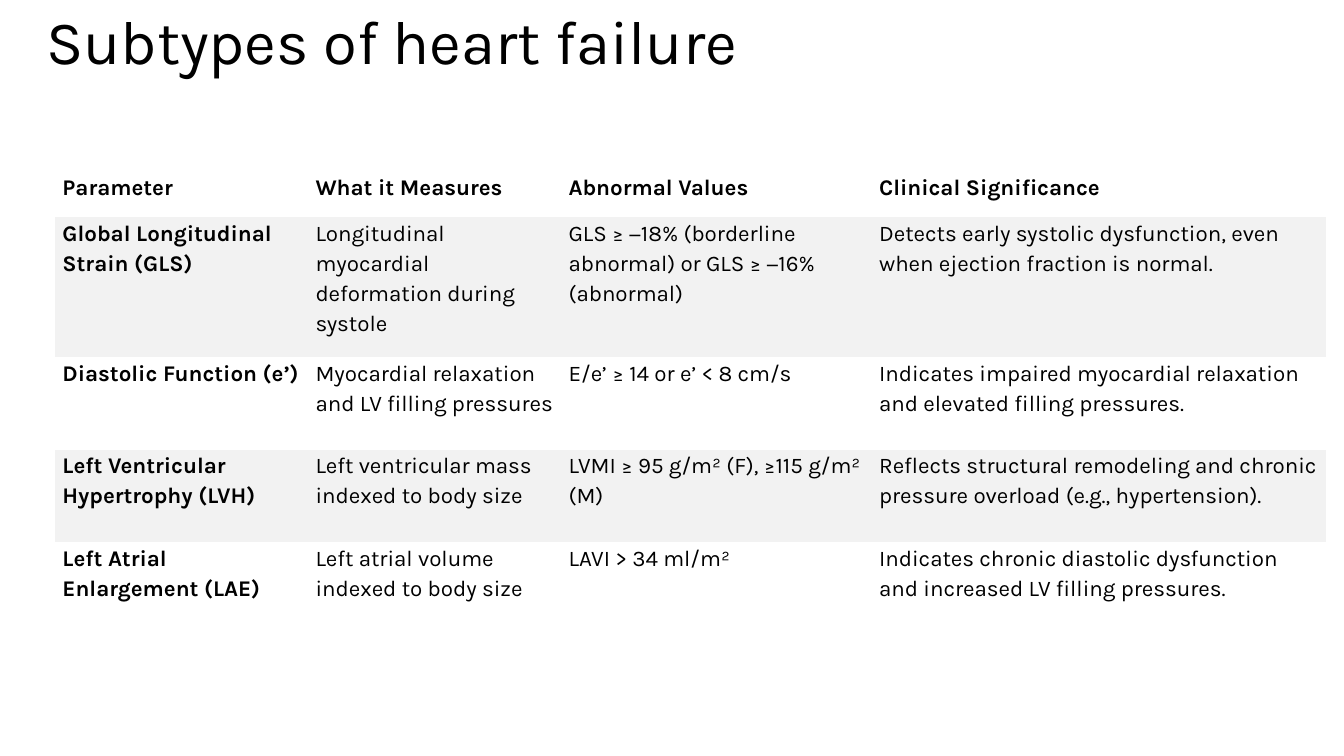
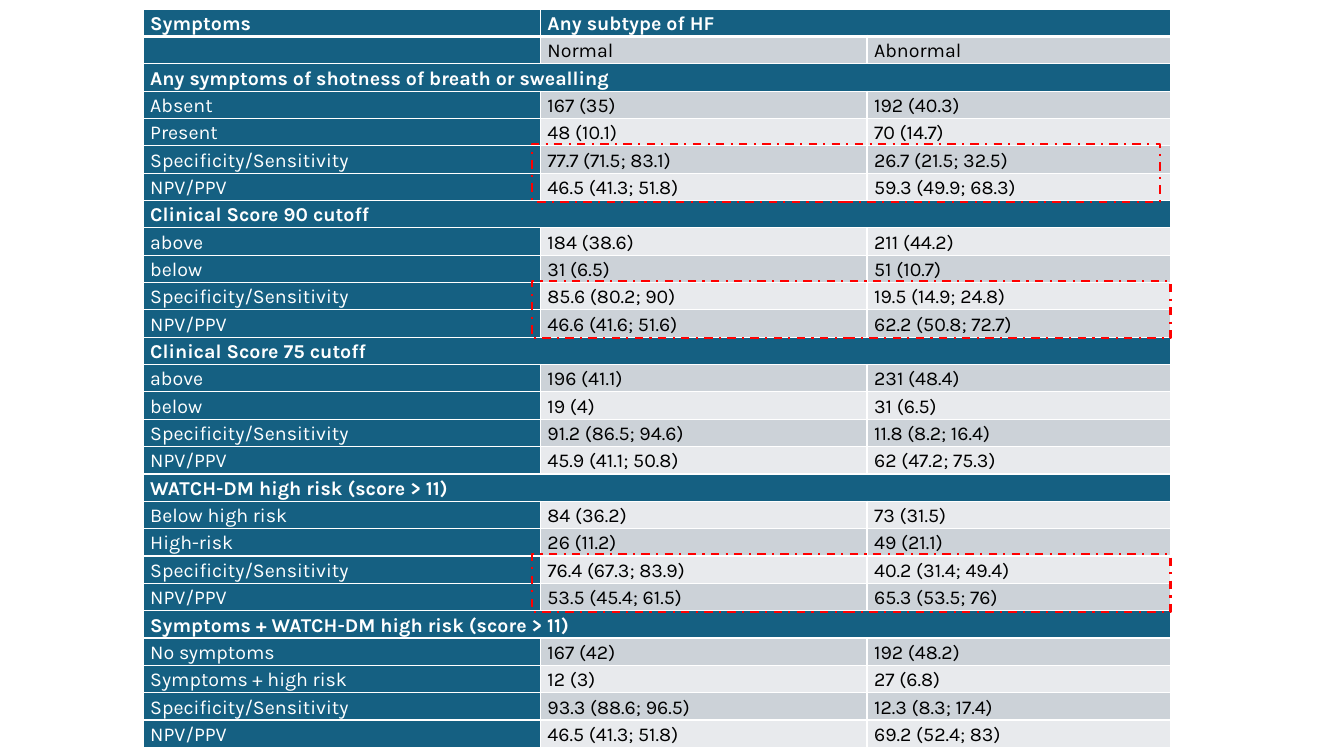
from lxml.etree import SubElement
from pptx import Presentation
from pptx.dml.color import RGBColor
from pptx.enum.dml import MSO_LINE
from pptx.enum.shapes import MSO_SHAPE
from pptx.enum.text import MSO_ANCHOR
from pptx.oxml.ns import qn
from pptx.util import Inches, Pt

FONT = "Karla"
BLACK, WHITE, RED = "000000", "FFFFFF", "FF0000"
TEAL, GREY, BAND_DARK, BAND_LIGHT = "156082", "F2F2F2", "CCD2D8", "E8EAED"
NO_STYLE = "{2D5ABB26-0587-4C30-8999-92F81FD0307C}"

TITLE = "Subtypes of heart failure"
SUBTYPES = [
    ("Parameter", "What it Measures", "Abnormal Values", "Clinical Significance"),
    ("Global Longitudinal Strain (GLS)",
     "Longitudinal myocardial deformation during systole",
     "GLS ≥ −18% (borderline abnormal) or GLS ≥ −16% (abnormal)",
     "Detects early systolic dysfunction, even when ejection fraction is normal."),
    ("Diastolic Function (e’)",
     "Myocardial relaxation and LV filling pressures",
     "E/e’ ≥ 14 or e’ < 8 cm/s",
     "Indicates impaired myocardial relaxation and elevated filling pressures."),
    ("Left Ventricular Hypertrophy (LVH)",
     "Left ventricular mass indexed to body size",
     "LVMI ≥ 95 g/m² (F), ≥115 g/m² (M)",
     "Reflects structural remodeling and chronic pressure overload (e.g., hypertension)."),
    ("Left Atrial Enlargement (LAE)",
     "Left atrial volume indexed to body size",
     "LAVI > 34 ml/m²",
     "Indicates chronic diastolic dysfunction and increased LV filling pressures."),
]
SUBTYPE_COLS = [2.51, 2.51, 3.08, 4.5]
SUBTYPE_ROWS = [0.45, 1.39, 0.92, 0.92, 0.92]

SPEC, NPV = "Specificity/Sensitivity", "NPV/PPV"
SYMPTOMS = [
    ("Symptoms", "Any subtype of HF"),
    ("", "Normal", "Abnormal"),
    ("Any symptoms of shotness of breath or swealling",),
    ("Absent", "167 (35)", "192 (40.3)"),
    ("Present", "48 (10.1)", "70 (14.7)"),
    (SPEC, "77.7 (71.5; 83.1)", "26.7 (21.5; 32.5)"),
    (NPV, "46.5 (41.3; 51.8)", "59.3 (49.9; 68.3)"),
    ("Clinical Score 90 cutoff",),
    ("above", "184 (38.6)", "211 (44.2)"),
    ("below", "31 (6.5)", "51 (10.7)"),
    (SPEC, "85.6 (80.2; 90)", "19.5 (14.9; 24.8)"),
    (NPV, "46.6 (41.6; 51.6)", "62.2 (50.8; 72.7)"),
    ("Clinical Score 75 cutoff",),
    ("above", "196 (41.1)", "231 (48.4)"),
    ("below", "19 (4)", "31 (6.5)"),
    (SPEC, "91.2 (86.5; 94.6)", "11.8 (8.2; 16.4)"),
    (NPV, "45.9 (41.1; 50.8)", "62 (47.2; 75.3)"),
    ("WATCH-DM high risk (score > 11)",),
    ("Below high risk", "84 (36.2)", "73 (31.5)"),
    ("High-risk", "26 (11.2)", "49 (21.1)"),
    (SPEC, "76.4 (67.3; 83.9)", "40.2 (31.4; 49.4)"),
    (NPV, "53.5 (45.4; 61.5)", "65.3 (53.5; 76)"),
    ("Symptoms + WATCH-DM high risk (score > 11)",),
    ("No symptoms", "167 (42)", "192 (48.2)"),
    ("Symptoms + high risk", "12 (3)", "27 (6.8)"),
    (SPEC, "93.3 (88.6; 96.5)", "12.3 (8.3; 17.4)"),
    (NPV, "46.5 (41.3; 51.8)", "69.2 (52.4; 83)"),
]
SYMPTOM_COLS = [3.94, 3.24, 3.01]
SYMPTOM_TOP = 0.09
SYMPTOM_ROW = 7.33 / len(SYMPTOMS)
HIGHLIGHTS = [(10, 6.33), (5, 6.23), (20, 6.33)]


def rgb(color):
    return RGBColor.from_string(color)


def style(paragraph, size, color, bold=False):
    font = paragraph.font
    font.name, font.size, font.bold = FONT, Pt(size), bold
    font.color.rgb = rgb(color)


def add_grid(slide, left, top, widths, heights):
    table = slide.shapes.add_table(
        len(heights), len(widths), Inches(left), Inches(top),
        Inches(sum(widths)), Inches(sum(heights))).table
    table.first_row = table.horz_banding = False
    table._tbl.tblPr.find(qn("a:tableStyleId")).text = NO_STYLE
    for column, width in zip(table.columns, widths):
        column.width = Inches(width)
    for row, height in zip(table.rows, heights):
        row.height = Inches(height)
    return table


def add_borders(cell, bottom):
    properties = cell._tc.get_or_add_tcPr()
    for side, width in (("L", 1), ("R", 1), ("T", 1), ("B", bottom)):
        line = SubElement(properties, qn(f"a:ln{side}"), w=str(Pt(width)))
        SubElement(SubElement(line, qn("a:solidFill")), qn("a:srgbClr"), val=WHITE)


def fill_cell(cell, text, size, color, bold, background):
    cell.margin_left = cell.margin_right = Inches(0.07)
    cell.margin_top = cell.margin_bottom = 0
    if background:
        cell.fill.solid()
        cell.fill.fore_color.rgb = rgb(background)
    else:
        cell.fill.background()
    paragraph = cell.text_frame.paragraphs[0]
    paragraph.line_spacing, paragraph.space_after = 1.15, Pt(8)
    style(paragraph, size, color, bold)
    if text:
        paragraph.add_run().text = text
    else:
        SubElement(paragraph._p, qn("a:endParaRPr"), sz=str(size * 100))


def build_subtypes(slide):
    box = slide.shapes.add_textbox(Inches(0.36), Inches(-0.28), Inches(11.5), Inches(1.45))
    frame = box.text_frame
    frame.word_wrap, frame.vertical_anchor = True, MSO_ANCHOR.MIDDLE
    heading = frame.paragraphs[0]
    heading.text, heading.line_spacing = TITLE, 0.9
    style(heading, 44, BLACK)

    table = add_grid(slide, 0.55, 1.7, SUBTYPE_COLS, SUBTYPE_ROWS)
    for r, row in enumerate(SUBTYPES):
        for c, text in enumerate(row):
            fill_cell(table.cell(r, c), text, 16, BLACK, r == 0 or c == 0,
                      GREY if r % 2 else None)


def build_symptoms(slide):
    table = add_grid(slide, 1.42, SYMPTOM_TOP, SYMPTOM_COLS, [SYMPTOM_ROW] * len(SYMPTOMS))
    last = len(SYMPTOM_COLS) - 1
    for r, row in enumerate(SYMPTOMS):
        section = len(row) <= last
        for c in range(last + 1):
            cell = table.cell(r, c)
            add_borders(cell, 1 if r else 3)
            dark = section or c == 0
            band = BAND_DARK if r % 2 else BAND_LIGHT
            fill_cell(cell, row[c] if c < len(row) else "", 14,
                      WHITE if dark else BLACK, section, TEAL if dark else band)
        if section:
            table.cell(r, len(row) - 1).merge(table.cell(r, last))

    for first_row, width in HIGHLIGHTS:
        top = SYMPTOM_TOP + first_row * SYMPTOM_ROW - 0.02
        frame = slide.shapes.add_shape(
            MSO_SHAPE.RECTANGLE, Inches(5.28), Inches(top),
            Inches(width), Inches(2 * SYMPTOM_ROW + 0.03))
        frame.shadow.inherit = False
        frame.fill.background()
        frame.line.color.rgb = rgb(RED)
        frame.line.width = Pt(1.5)
        frame.line.dash_style = MSO_LINE.DASH_DOT


def main():
    deck = Presentation()
    deck.slide_width, deck.slide_height = Inches(13.33), Inches(7.5)
    for build in (build_subtypes, build_symptoms):
        build(deck.slides.add_slide(deck.slide_layouts[6]))
    deck.save("out.pptx")


if __name__ == "__main__":
    main()
